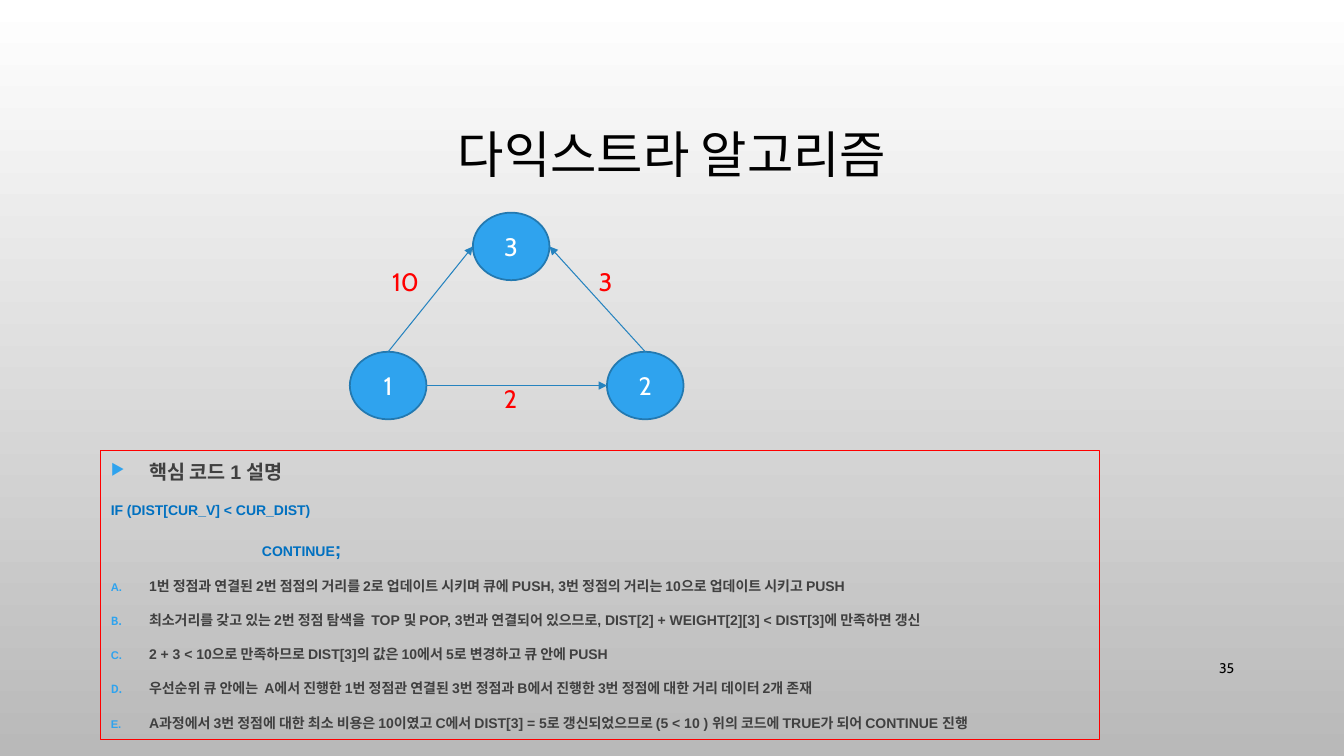
import lxml.etree
import pptx
import pptx.dml.color
import pptx.enum.shapes
import pptx.enum.text
import pptx.oxml.ns
import pptx.util

Inches = pptx.util.Inches
ANCHOR = pptx.enum.text.MSO_ANCHOR
ALIGN = pptx.enum.text.PP_ALIGN
SHAPES = pptx.enum.shapes.MSO_SHAPE

BLUE, EDGE_BLUE, RED, GRAY, CODE_BLUE = "2FA3EE", "2683BF", "FF0000", "404040", "0070C0"
NODE_SIZE = (0.76, 0.67)
NODES = {"3": (1.22, 0), "1": (0, 1.38), "2": (2.55, 1.38)}
SIDES = {"top": (0.5, 0), "left": (0, 0.5), "right": (1, 0.5)}
EDGES = [("1", "right", "2", "left"), ("2", "top", "3", "right"), ("1", "top", "3", "left")]
WEIGHTS = [("2", 1.43, 1.64, 0.34), ("3", 2.37, 0.48, 0.34), ("10", 0.32, 0.48, 0.47)]

HEADING = "핵심 코드 1 설명"
CONDITION = "IF (DIST[CUR_V] < CUR_DIST)"
STEPS = [
    "1번 정점과 연결된 2번 점점의 거리를 2로 업데이트 시키며 큐에 PUSH, 3번 정점의 거리는 10으로 업데이트 시키고 PUSH",
    "최소거리를 갖고 있는 2번 정점 탐색을  TOP 및 POP, 3번과 연결되어 있으므로, DIST[2] + WEIGHT[2][3] < DIST[3]에 만족하면 갱신",
    "2 + 3 < 10으로 만족하므로 DIST[3]의 값은 10에서 5로 변경하고 큐 안에 PUSH",
    "우선순위 큐 안에는  A에서 진행한 1번 정점관 연결된 3번 정점과 B에서 진행한 3번 정점에 대한 거리 데이터 2개 존재",
    "A과정에서 3번 정점에 대한 최소 비용은 10이였고 C에서 DIST[3] = 5로 갱신되었으므로 (5 < 10 ) 위의 코드에 TRUE가 되어 CONTINUE 진행",
]


def color(value):
    """Turn a hex string into a colour."""
    return pptx.dml.color.RGBColor.from_string(value)


def apply(target, formats):
    """Set each attribute named in a dict."""
    for name, value in formats.items():
        setattr(target, name, value)


def add_xml(parent, tag, **attributes):
    """Append a drawing element with its attributes."""
    return lxml.etree.SubElement(parent, pptx.oxml.ns.qn(tag), attributes)


def add_span(para, text, size, hue, font="Cabin", bold=False):
    """Add a formatted run to a paragraph."""
    span = para.add_run()
    span.text = text
    apply(span.font, {"size": pptx.util.Pt(size), "name": font, "bold": bold})
    span.font.color.rgb = color(hue)


def add_label(slide, box, text, size, hue, wrap=False, align=ALIGN.LEFT, anchor=ANCHOR.TOP):
    """Add a one-line text box."""
    label = slide.shapes.add_textbox(*map(Inches, box))
    apply(label.text_frame, {"word_wrap": wrap, "vertical_anchor": anchor})
    para = label.text_frame.paragraphs[0]
    para.alignment = align
    add_span(para, text, size, hue)


def fill_background(slide):
    """Shade the slide from white down to grey."""
    fill = slide.background.fill
    fill.gradient()
    fill.gradient_angle = 270
    for stop, hue in zip(fill.gradient_stops, ("FFFFFF", "B9B9B9")):
        stop.color.rgb = color(hue)


def place_title(slide, box, text):
    """Move and format the title placeholder."""
    title = slide.shapes.title
    apply(title, dict(zip(("left", "top", "width", "height"), map(Inches, box))))
    title.text_frame.vertical_anchor = ANCHOR.MIDDLE
    para = title.text_frame.paragraphs[0]
    apply(para, {"alignment": ALIGN.CENTER, "line_spacing": 0.9})
    add_span(para, text, 36, "000000")


def add_node(slide, left, top, text):
    """Add a numbered vertex of the graph."""
    node = slide.shapes.add_shape(SHAPES.OVAL, *map(Inches, (left, top, *NODE_SIZE)))
    node.shadow.inherit = False
    node.fill.solid()
    node.fill.fore_color.rgb = color(BLUE)
    node.line.color.rgb = color("2379B0")
    node.line.width = pptx.util.Pt(1.25)
    node.text_frame.vertical_anchor = ANCHOR.MIDDLE
    para = node.text_frame.paragraphs[0]
    para.alignment = ALIGN.CENTER
    add_span(para, text, 18, "FFFFFF")


def add_edge(slide, start, end):
    """Add an arrow between two points."""
    edge = slide.shapes.add_connector(
        pptx.enum.shapes.MSO_CONNECTOR.STRAIGHT, *map(Inches, (*start, *end)))
    edge.line.color.rgb = color(EDGE_BLUE)
    edge.line.width = pptx.util.Pt(0.75)
    add_xml(edge.line._get_or_add_ln(), "a:tailEnd", type="triangle")
    add_xml(edge._element.spPr, "a:effectLst")


def add_graph(slide, left, top):
    """Draw the weighted graph from its top left corner."""
    def port(name, side):
        """Find the point on one side of a vertex."""
        return [origin + offset + share * size for origin, offset, share, size
                in zip((left, top), NODES[name], SIDES[side], NODE_SIZE)]

    for name, (x, y) in NODES.items():
        add_node(slide, left + x, top + y, name)
    for source, exit_side, target, entry_side in EDGES:
        add_edge(slide, port(source, exit_side), port(target, entry_side))
    for text, x, y, width in WEIGHTS:
        add_label(slide, (left + x, top + y, width, 0.4), text, 18, RED)


def add_bullet(para, tag, **attributes):
    """Give a paragraph a hanging bullet or number."""
    props = para._p.get_or_add_pPr()
    apply_indent = {"marL": Inches(0.38), "indent": Inches(-0.38)}
    for name, value in apply_indent.items():
        props.set(name, str(value))
    add_xml(add_xml(props, "a:buClr"), "a:srgbClr", val=BLUE)
    add_xml(props, "a:buSzPct", val="80000")
    add_xml(props, tag, **attributes)


def add_explanation(slide, box):
    """Add the framed explanation of the code."""
    panel = slide.shapes.add_shape(SHAPES.RECTANGLE, *map(Inches, box))
    panel.shadow.inherit = False
    panel.fill.background()
    panel.line.color.rgb = color(RED)
    panel.line.width = pptx.util.Pt(0.75)
    frame = panel.text_frame
    apply(frame, {"word_wrap": True, "vertical_anchor": ANCHOR.TOP})
    lines = [[(HEADING, 14, GRAY)], [(CONDITION, 10, CODE_BLUE)],
             [("CONTINUE", 10, CODE_BLUE), (";", 14, CODE_BLUE)]]
    lines += [[(step, 10, GRAY)] for step in STEPS]
    for index, spans in enumerate(lines):
        para = frame.add_paragraph() if index else frame.paragraphs[0]
        apply(para, {"alignment": ALIGN.LEFT, "line_spacing": 1.2,
                     "space_before": pptx.util.Pt(10)})
        for text, size, hue in spans:
            add_span(para, text, size, hue, "Arial", True)
    heading, _, statement, *steps = frame.paragraphs
    add_bullet(heading, "a:buChar", char="▶")
    statement._p.get_or_add_pPr().set("marL", str(Inches(1.5)))
    for step in steps:
        add_bullet(step, "a:buAutoNum", type="alphaUcPeriod")


def main():
    """Build and save the deck."""
    deck = pptx.Presentation()
    apply(deck, {"slide_width": Inches(13.33), "slide_height": Inches(7.5)})
    slide = deck.slides.add_slide(deck.slide_layouts.get_by_name("Title Only"))
    fill_background(slide)
    place_title(slide, (1, 0.68, 11.33, 1.75), "다익스트라 알고리즘")
    add_explanation(slide, (1, 4.47, 9.91, 2.87))
    add_label(slide, (11.5, 6.43, 0.84, 0.4), "35", 10, "000000",
              True, ALIGN.RIGHT, ANCHOR.MIDDLE)
    add_graph(slide, 3.47, 2.11)
    deck.save("out.pptx")


if __name__ == "__main__":
    main()
